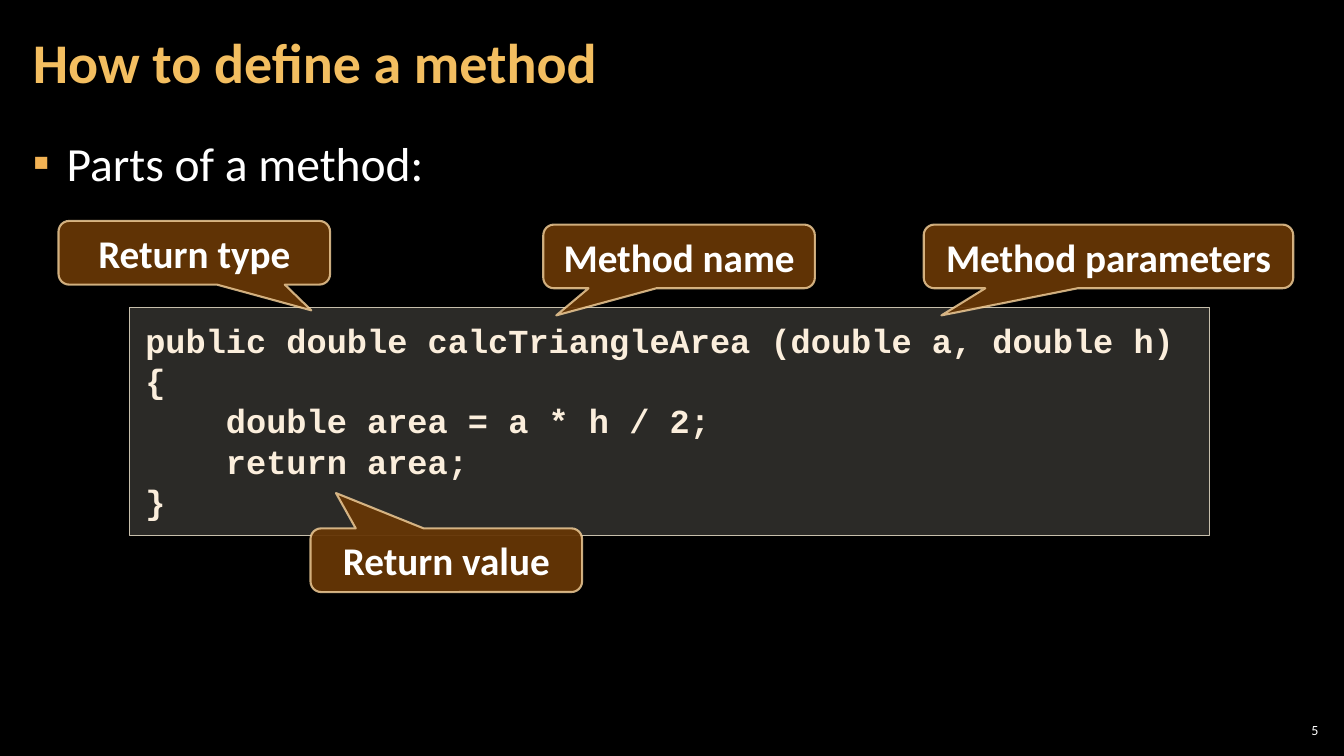
"""Build the slide that labels the parts of a method definition."""
from dataclasses import dataclass

from lxml import etree
from pptx import Presentation
from pptx import util as u
from pptx.dml import color
from pptx.enum import shapes, text
from pptx.oxml import ns

BODY_FONT = "Calibri"
CODE_FONT = "Courier New"
WHITE = "FFFFFF"
CODE_INDENT = 57.6


@dataclass
class Callout:
    label: str
    left: float
    top: float
    width: float
    tip_x: float
    tip_y: float


@dataclass
class CodeLine:
    code: str
    level: int = 0


CALLOUTS = [
    Callout("Method name", 388.1, 160.4, 194, -0.452, 0.926),
    Callout("Method parameters", 659.8, 160.4, 264, -0.452, 0.926),
    Callout("Return value", 221.8, 377.4, 194, -0.406, -1.054),
    Callout("Return type", 41.8, 157.8, 194, 0.431, 0.904),
]
CODE = [
    CodeLine("public double calcTriangleArea (double a, double h)"),
    CodeLine("{"),
    CodeLine("double area = a * h / 2;", 1),
    CodeLine("return area;", 1),
    CodeLine("}"),
]


def rgb(value: str) -> color.RGBColor:
    """Turn a hex string into a colour."""
    return color.RGBColor.from_string(value)


def place(box, left: float, top: float, width: float, height: float) -> None:
    """Position a shape, in points."""
    box.left, box.top = u.Pt(left), u.Pt(top)
    box.width, box.height = u.Pt(width), u.Pt(height)


def set_frame(box, anchor, side: float, edge: float) -> None:
    """Set anchor, wrapping and insets of a text frame."""
    frame = box.text_frame
    frame.word_wrap = True
    frame.auto_size = text.MSO_AUTO_SIZE.NONE
    frame.vertical_anchor = anchor
    frame.margin_left = frame.margin_right = u.Pt(side)
    frame.margin_top = frame.margin_bottom = u.Pt(edge)


def style(para, size: float, hue: str, bold: bool = False,
          name: str = BODY_FONT, align=text.PP_ALIGN.LEFT) -> None:
    """Set the font and alignment of a paragraph."""
    para.alignment = align
    para.font.name, para.font.size = name, u.Pt(size)
    para.font.bold, para.font.color.rgb = bold, rgb(hue)


def set_alpha(fill_format, percent: int) -> None:
    """Give a solid fill an opacity."""
    fill = fill_format._xPr.find(ns.qn("a:solidFill"))
    etree.SubElement(fill[0], ns.qn("a:alpha"), val=str(percent * 1000))


def paint(box, fill: str, opacity: int, line: str, weight: float) -> None:
    """Set fill and outline and remove the shadow."""
    box.shadow.inherit = False
    box.fill.solid()
    box.fill.fore_color.rgb = rgb(fill)
    set_alpha(box.fill, opacity)
    box.line.color.rgb = rgb(line)
    box.line.width = u.Pt(weight)


def set_bullet(para, char: str, hue: str, indent: float) -> None:
    """Give a paragraph a coloured bullet with a hanging indent."""
    props = para._p.get_or_add_pPr()
    props.set("marL", str(u.Pt(indent)))
    props.set("indent", str(-u.Pt(indent)))
    bullet_color = etree.SubElement(props, ns.qn("a:buClr"))
    etree.SubElement(bullet_color, ns.qn("a:srgbClr"), val=hue)
    etree.SubElement(props, ns.qn("a:buFont"), typeface=BODY_FONT)
    etree.SubElement(props, ns.qn("a:buChar"), char=char)


def add_title(page) -> None:
    """Fill the title placeholder."""
    box = page.shapes.title
    place(box, 15, 3, 754, 87)
    set_frame(box, text.MSO_ANCHOR.MIDDLE, 8.5, 2.8)
    box.text_frame.text = "How to define a method"
    para = box.text_frame.paragraphs[0]
    para.line_spacing = 0.9
    style(para, 40, "F3BE60", bold=True)


def add_body(page) -> None:
    """Fill the body placeholder."""
    box = page.placeholders[1]
    place(box, 15, 90.5, 929.5, 438.5)
    set_frame(box, text.MSO_ANCHOR.TOP, 8.5, 2.8)
    box.text_frame.text = "Parts of a method:"
    para = box.text_frame.paragraphs[0]
    para.line_spacing = 1.05
    para.space_before = para.space_after = u.Pt(6)
    set_bullet(para, "▪", "F2B254", 24)
    style(para, 34, WHITE)


def add_code(page) -> None:
    """Draw the code panel."""
    box = page.shapes.add_shape(shapes.MSO_SHAPE.RECTANGLE, 0, 0, 0, 0)
    place(box, 92.4, 219.6, 771.4, 162.8)
    paint(box, "D9D5C7", 20, "C7BFAC", 1)
    set_frame(box, text.MSO_ANCHOR.TOP, 11.4, 8.6)
    frame = box.text_frame
    for index, line in enumerate(CODE):
        para = frame.add_paragraph() if index else frame.paragraphs[0]
        para.text = line.code
        para._p.get_or_add_pPr().set("marL", str(u.Pt(CODE_INDENT * line.level)))
        style(para, 24, "FBEEDC", bold=True, name=CODE_FONT)


def add_callout(page, callout: Callout) -> None:
    """Draw one labelled callout."""
    kind = shapes.MSO_SHAPE.ROUNDED_RECTANGULAR_CALLOUT
    box = page.shapes.add_shape(kind, 0, 0, 0, 0)
    place(box, callout.left, callout.top, callout.width, 45.5)
    box.adjustments[0] = callout.tip_x
    box.adjustments[1] = callout.tip_y
    box.adjustments[2] = 0.167
    paint(box, "663606", 95, "F8D49E", 1.5)
    set_alpha(box.line.fill, 80)
    set_frame(box, text.MSO_ANCHOR.MIDDLE, 7.2, 3.6)
    box.text_frame.text = callout.label
    style(box.text_frame.paragraphs[0], 28, WHITE, bold=True,
          align=text.PP_ALIGN.CENTER)


def add_page_number(page) -> None:
    """Write the page number in the bottom corner."""
    box = page.shapes.add_textbox(0, 0, 0, 0)
    place(box, 910.8, 514, 33.8, 15.2)
    set_frame(box, text.MSO_ANCHOR.MIDDLE, 2.8, 2.8)
    box.text_frame.text = "5"
    style(box.text_frame.paragraphs[0], 10, WHITE, align=text.PP_ALIGN.RIGHT)


def main() -> None:
    """Build and save the deck."""
    deck = Presentation()
    deck.slide_width, deck.slide_height = u.Pt(960), u.Pt(540)
    page = deck.slides.add_slide(deck.slide_layouts[1])
    page.background.fill.solid()
    page.background.fill.fore_color.rgb = rgb("000000")
    add_page_number(page)
    add_body(page)
    add_title(page)
    add_code(page)
    for callout in CALLOUTS:
        add_callout(page, callout)
    deck.save("out.pptx")


if __name__ == "__main__":
    main()
